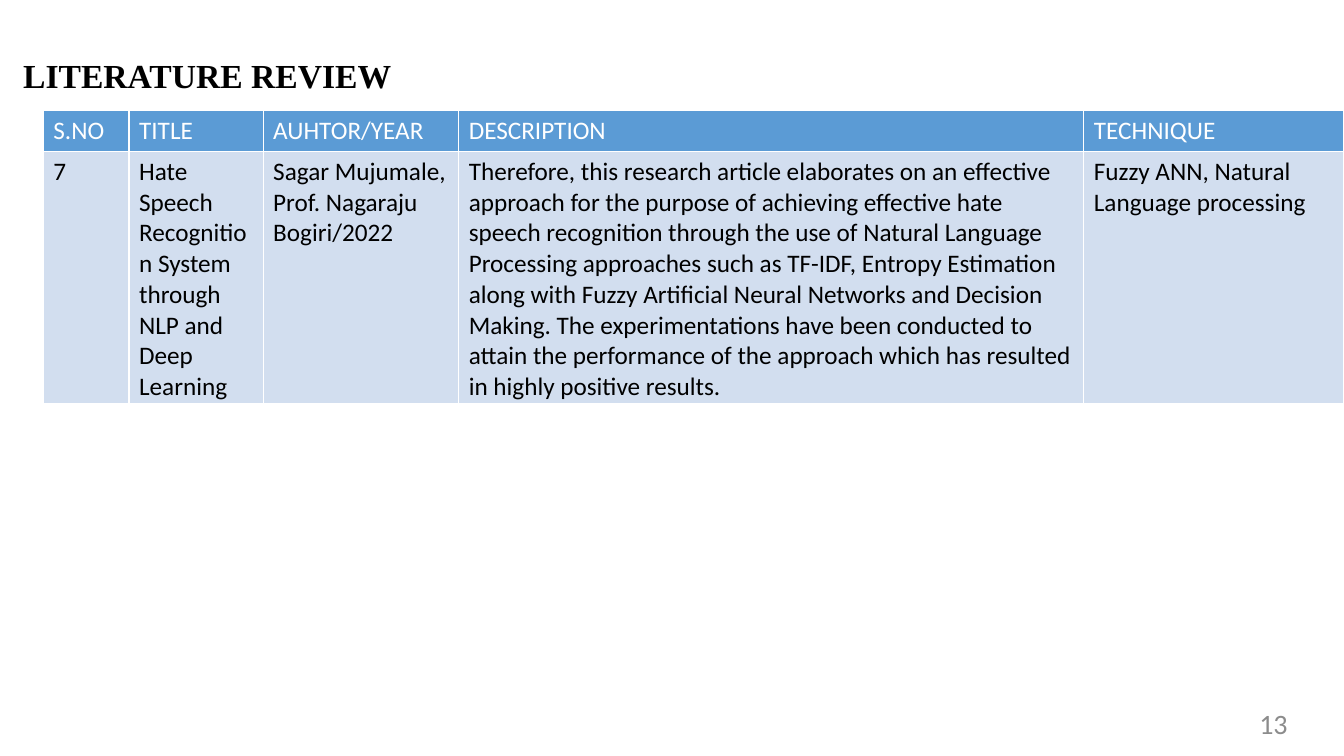
"""Build the literature review slide with its table of papers."""
import lxml.etree
import pptx
import pptx.dml.color
import pptx.enum.text
import pptx.oxml.ns
import pptx.util

Inches = pptx.util.Inches
COLORS = {
    "black": "000000",
    "white": "FFFFFF",
    "number": "8C8C8C",
    "header": "5B9BD5",
    "body": "D2DEEF",
}


def write_text(frame, text, size=18, font="Calibri", color="black", bold=False,
               align=pptx.enum.text.PP_ALIGN.LEFT, spacing=1.0):
    paragraph = frame.paragraphs[0]
    paragraph.alignment = align
    paragraph.line_spacing = spacing
    run = paragraph.add_run()
    run.text = text
    run.font.size = pptx.util.Pt(size)
    run.font.name = font
    run.font.bold = bold
    run.font.color.rgb = pptx.dml.color.RGBColor.from_string(COLORS[color])


def style_cell(cell, fill):
    properties = cell._tc.get_or_add_tcPr()
    for side in ("lnL", "lnR", "lnT", "lnB"):
        line = lxml.etree.SubElement(properties, pptx.oxml.ns.qn("a:" + side), w="12700")
        solid = lxml.etree.SubElement(line, pptx.oxml.ns.qn("a:solidFill"))
        lxml.etree.SubElement(solid, pptx.oxml.ns.qn("a:srgbClr"), val=COLORS["white"])
    cell.fill.solid()
    cell.fill.fore_color.rgb = pptx.dml.color.RGBColor.from_string(COLORS[fill])


presentation = pptx.Presentation()
presentation.slide_width = Inches(13.33)
presentation.slide_height = Inches(7.5)
slide = presentation.slides.add_slide(presentation.slide_layouts[5])

number_box = slide.shapes.add_textbox(Inches(11.44), Inches(6.98), Inches(1.43), Inches(0.4))
number_box.text_frame.word_wrap = True
number_box.text_frame.vertical_anchor = pptx.enum.text.MSO_ANCHOR.MIDDLE
write_text(number_box.text_frame, "13", size=20, color="number",
           align=pptx.enum.text.PP_ALIGN.RIGHT)

title = slide.shapes.title
title.left, title.top = Inches(0.13), Inches(0.33)
title.width, title.height = Inches(7.69), Inches(0.63)
title.text_frame.word_wrap = True
title.text_frame.auto_size = pptx.enum.text.MSO_AUTO_SIZE.SHAPE_TO_FIT_TEXT
title.text_frame.vertical_anchor = pptx.enum.text.MSO_ANCHOR.MIDDLE
write_text(title.text_frame, "LITERATURE REVIEW", size=24, font="Times New Roman",
           bold=True, spacing=1.5)

rows = [
    ["S.NO", "TITLE", "AUHTOR/YEAR", "DESCRIPTION", "TECHNIQUE"],
    [
        "7",
        "Hate Speech Recognition System through NLP and Deep Learning",
        "Sagar Mujumale, Prof. Nagaraju Bogiri/2022",
        "Therefore, this research article elaborates on an effective approach for the "
        "purpose of achieving effective hate speech recognition through the use of "
        "Natural Language Processing approaches such as TF-IDF, Entropy Estimation along "
        "with Fuzzy Artificial Neural Networks and Decision Making. The experimentations "
        "have been conducted to attain the performance of the approach which has resulted "
        "in highly positive results.",
        "Fuzzy ANN, Natural Language processing",
    ],
]
column_widths = [0.85, 1.33, 1.94, 6.2, 2.58]
row_heights = [0.4, 2.5]
row_colors = [("header", "white"), ("body", "black")]

table = slide.shapes.add_table(len(rows), len(column_widths), Inches(0.43), Inches(1.1),
                               Inches(sum(column_widths)), Inches(sum(row_heights))).table
for column, width in zip(table.columns, column_widths):
    column.width = Inches(width)
for row, height, texts, (fill, color) in zip(table.rows, row_heights, rows, row_colors):
    row.height = Inches(height)
    for cell, text in zip(row.cells, texts):
        style_cell(cell, fill)
        write_text(cell.text_frame, text, color=color)

presentation.save("out.pptx")
